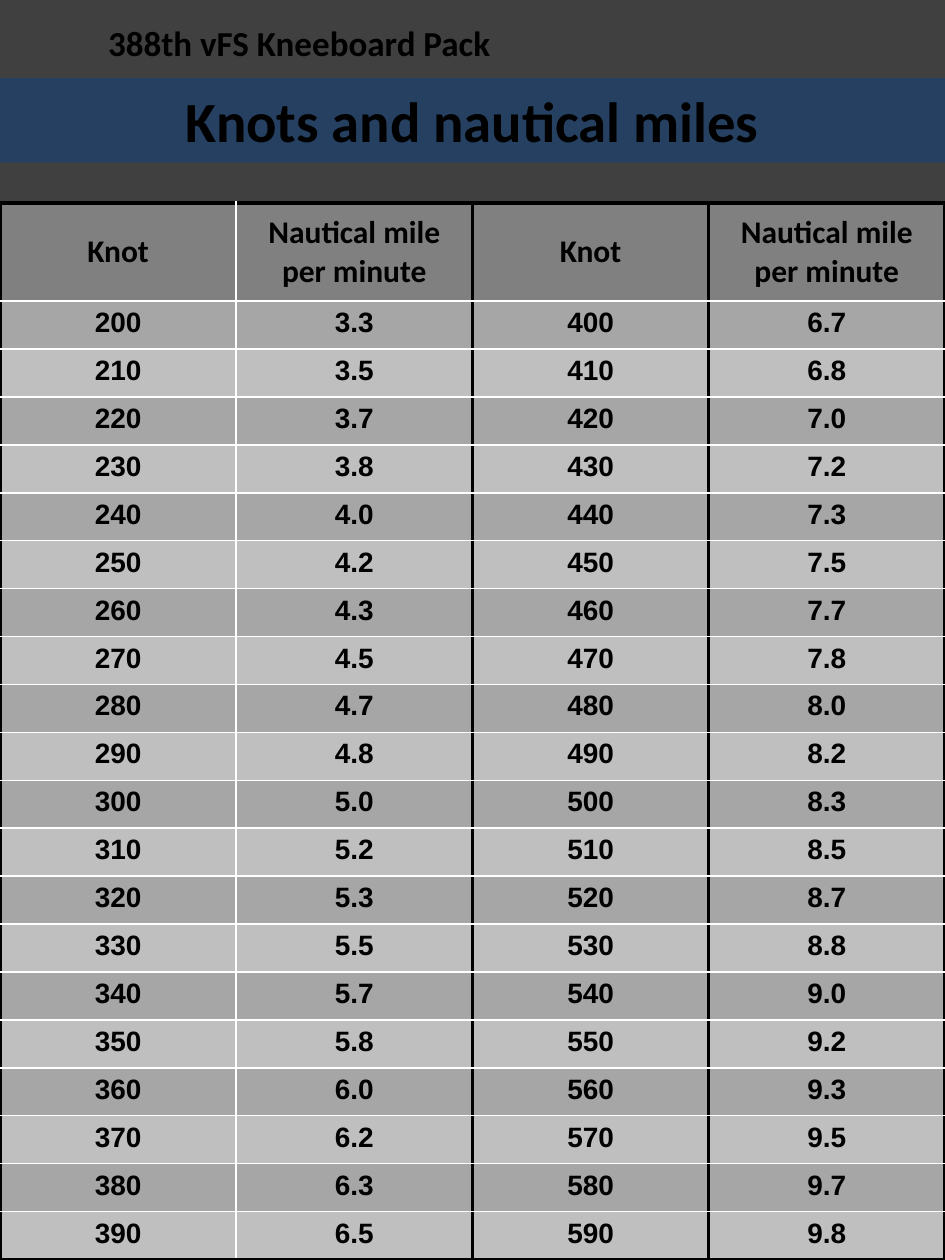
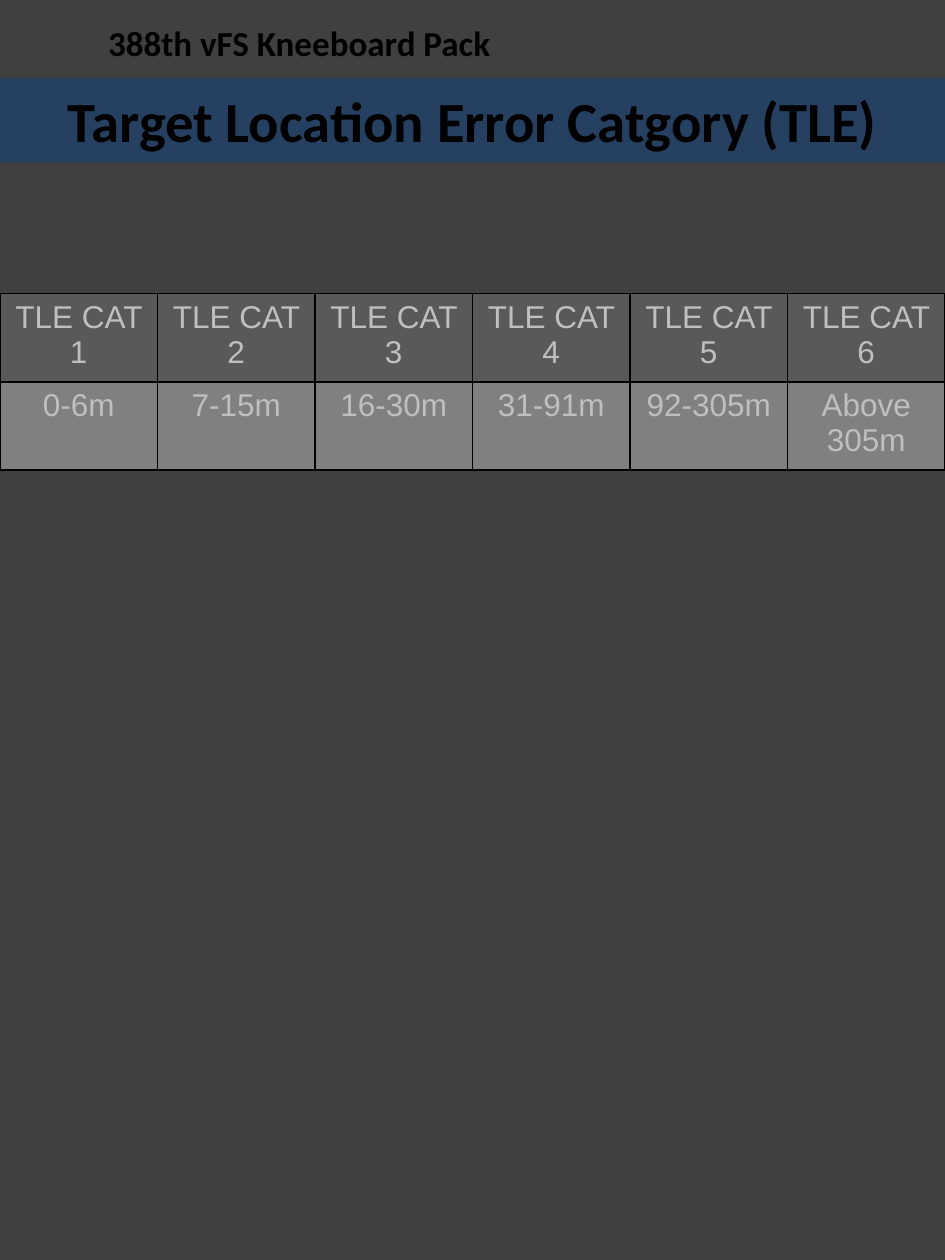
"""Build two kneeboard reference slides: a speed conversion table and the TLE categories."""
from lxml.etree import SubElement
from pptx import Presentation
from pptx.dml.color import RGBColor
from pptx.enum.shapes import MSO_SHAPE as Shape
from pptx.enum.text import MSO_ANCHOR as Anchor, PP_ALIGN as Align
from pptx.oxml.ns import qn
from pptx.util import Inches, Pt

BLACK = RGBColor(0x00, 0x00, 0x00)
WHITE = RGBColor(0xFF, 0xFF, 0xFF)
BACKGROUND = RGBColor(0x40, 0x40, 0x40)
BAND = RGBColor(0x25, 0x40, 0x61)
DARK_GREY = RGBColor(0x59, 0x59, 0x59)
MID_GREY = RGBColor(0x80, 0x80, 0x80)
ROW_GREY = RGBColor(0xA6, 0xA6, 0xA6)
LIGHT_GREY = RGBColor(0xBF, 0xBF, 0xBF)

PACK = "388th vFS Kneeboard Pack"
SPEED_TITLE = "Knots and nautical miles"
SPEED_HEADER = ["Knot", "Nautical mile per minute"] * 2
SLOW_KNOTS = range(200, 400, 10)
FAST_OFFSET = 200
TLE_TITLE = "Target Location Error Catgory (TLE)"
TLE_RANGES = ["0-6m", "7-15m", "16-30m", "31-91m", "92-305m", "Above 305m"]

WIDTH, HEIGHT = 7.5, 10
THICK, THIN = (BLACK, 2.25), (WHITE, 1)
FRAME = (BLACK, 1)


def write(frame, text, size=18, font="Arial", color=BLACK, bold=False, align=Align.CENTER):
    para = frame.paragraphs[0]
    para.alignment = align
    span = para.add_run()
    span.text = text
    span.font.size, span.font.name, span.font.bold = Pt(size), font, bold
    span.font.color.rgb = color


def set_borders(cell, left, right, top, bottom):
    properties = cell._tc.get_or_add_tcPr()
    sides = zip(("a:lnL", "a:lnR", "a:lnT", "a:lnB"), (left, right, top, bottom))
    for position, (tag, (color, points)) in enumerate(sides):
        line = SubElement(properties, qn(tag), w=str(Pt(points)))
        fill = SubElement(line, qn("a:solidFill"))
        SubElement(fill, qn("a:srgbClr"), val=str(color))
        properties.insert(position, line)


def add_page(deck, title):
    page = deck.slides.add_slide(deck.slide_layouts[6])
    page.background.fill.solid()
    page.background.fill.fore_color.rgb = BACKGROUND
    label = page.shapes.add_textbox(Inches(0.76), 0, Inches(4.41), Inches(0.67))
    band = page.shapes.add_shape(Shape.RECTANGLE, 0, Inches(0.62), Inches(WIDTH), Inches(0.67))
    band.shadow.inherit = False
    band.fill.solid()
    band.fill.fore_color.rgb = BAND
    band.line.fill.background()
    for box in (label, band):
        box.text_frame.word_wrap = True
        box.text_frame.vertical_anchor = Anchor.MIDDLE
    write(label.text_frame, PACK, size=20, font="Calibri", bold=True, align=Align.LEFT)
    write(band.text_frame, title, size=32.4, font="Calibri", bold=True)
    return page


def add_grid(page, rows, top, heights, style, borders):
    columns = len(rows[0])
    table = page.shapes.add_table(len(rows), columns, 0, Inches(top),
                                  Inches(WIDTH), Inches(sum(heights))).table
    table.first_row = table.horz_banding = False
    for column in table.columns:
        column.width = Inches(WIDTH / columns)
    for r, (values, height) in enumerate(zip(rows, heights)):
        table.rows[r].height = Inches(height)
        fill, anchor, text_format = style(r)
        for c, value in enumerate(values):
            cell = table.cell(r, c)
            cell.fill.solid()
            cell.fill.fore_color.rgb = fill
            cell.vertical_anchor = anchor
            write(cell.text_frame, value, **text_format)
            set_borders(cell, *borders(r, c))


def speed_style(r):
    if r == 0:
        return MID_GREY, Anchor.MIDDLE, dict(font="Calibri", bold=True)
    return (ROW_GREY if r % 2 else LIGHT_GREY), Anchor.TOP, dict(size=16, bold=True)


def speed_borders(r, c):
    return (THIN if c == 1 else THICK, THIN if c == 0 else THICK,
            THICK if r == 0 else THIN, THICK if r == len(SLOW_KNOTS) else THIN)


def tle_style(r):
    return (MID_GREY if r else DARK_GREY), Anchor.TOP, dict(color=LIGHT_GREY)


def tle_borders(r, c):
    return [FRAME] * 4


def speed_row(slow):
    return [text for knots in (slow, slow + FAST_OFFSET)
            for text in (str(knots), f"{knots / 60:.1f}")]


deck = Presentation()
deck.slide_width, deck.slide_height = Inches(WIDTH), Inches(HEIGHT)

speed_rows = [SPEED_HEADER] + [speed_row(knots) for knots in SLOW_KNOTS]
speed_top, header_height = 1.61, 0.78
row_height = (HEIGHT - speed_top - header_height) / len(SLOW_KNOTS)
add_grid(add_page(deck, SPEED_TITLE), speed_rows, speed_top,
         [header_height] + [row_height] * len(SLOW_KNOTS), speed_style, speed_borders)

tle_header = [f"TLE CAT {number}" for number in range(1, len(TLE_RANGES) + 1)]
add_grid(add_page(deck, TLE_TITLE), [tle_header, TLE_RANGES], 2.33,
         [0.66, 0.66], tle_style, tle_borders)

deck.save("out.pptx")
